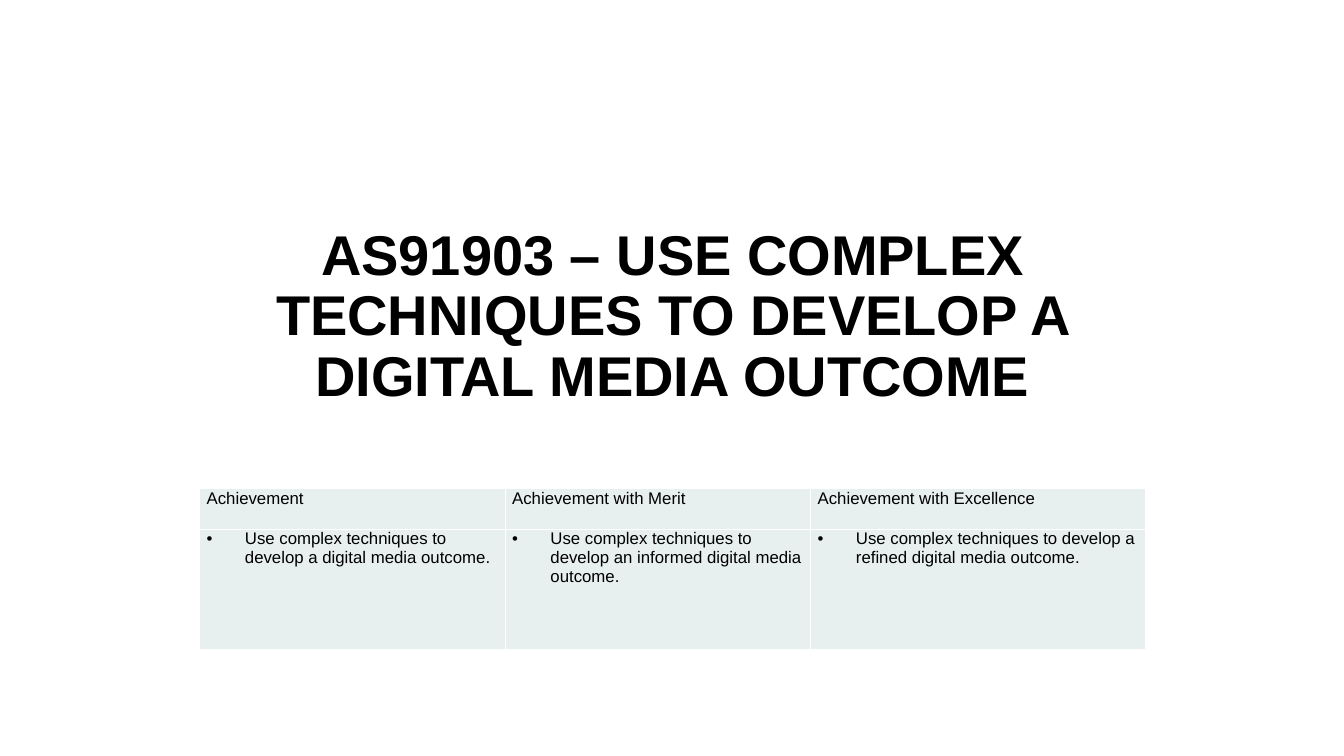
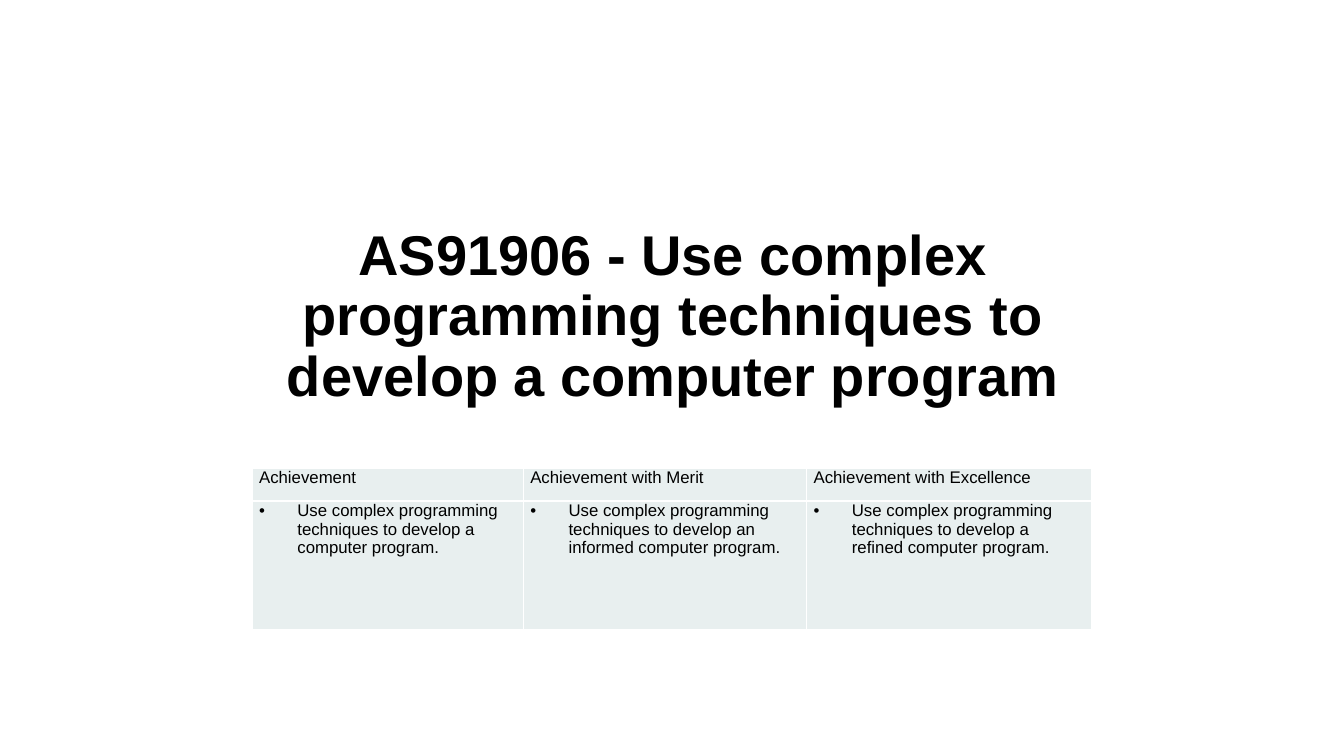
from dataclasses import dataclass

from lxml import etree
from pptx import Presentation
from pptx.dml import color
from pptx.enum import text
from pptx.oxml import ns
from pptx.util import Pt

PX = 9144


@dataclass(frozen=True)
class Theme:
    font: str = "Arial"
    ink: str = "000000"
    cell: str = "E8EFEF"
    border: str = "FFFFFF"
    title_size: int = 40
    body_size: int = 12
    border_width: int = 1


def rgb(value):
    return color.RGBColor.from_string(value)


def apply(obj, fmt):
    for name, value in fmt.items():
        setattr(obj, name, value)


def child(parent, tag, **attrs):
    return etree.SubElement(parent, ns.qn(tag), {k: str(v) for k, v in attrs.items()})


class Deck:
    def __init__(self, theme, width, height):
        self.theme = theme
        self.prs = Presentation()
        apply(self.prs, {"slide_width": width * PX, "slide_height": height * PX})
        self.s = None

    def slide(self):
        self.s = self.prs.slides.add_slide(self.prs.slide_layouts[6])

    def add_text(self, p, words, size, bold=False):
        r = p.add_run()
        r.text = words
        apply(r.font, {"name": self.theme.font, "size": Pt(size), "bold": bold})
        r.font.color.rgb = rgb(self.theme.ink)

    def title(self, words):
        sp = self.s.shapes.add_textbox(*(n * PX for n in (252, 123, 830, 287)))
        tf = sp.text_frame
        apply(tf, {"word_wrap": True, "vertical_anchor": text.MSO_ANCHOR.BOTTOM})
        p = tf.paragraphs[0]
        apply(p, {"alignment": text.PP_ALIGN.CENTER, "line_spacing": 0.9})
        self.add_text(p, words, self.theme.title_size, bold=True)

    def bullet(self, p):
        pPr = p._p.get_or_add_pPr()
        pPr.set("marL", str(38 * PX))
        pPr.set("indent", str(-38 * PX))
        child(pPr, "a:buFont", typeface=self.theme.font)
        child(pPr, "a:buChar", char="•")
        child(child(pPr, "a:tabLst"), "a:tab", pos=20 * PX, algn="l")

    def borders(self, cell):
        tcPr = cell._tc.get_or_add_tcPr()
        for side in "LRTB":
            ln = child(tcPr, f"a:ln{side}", w=int(Pt(self.theme.border_width)))
            child(child(ln, "a:solidFill"), "a:srgbClr", val=self.theme.border)

    def cell(self, cell, words, bulleted):
        apply(cell, {"margin_left": 7 * PX, "margin_right": 7 * PX,
                     "margin_top": 0, "margin_bottom": 0})
        self.borders(cell)
        cell.fill.solid()
        cell.fill.fore_color.rgb = rgb(self.theme.cell)
        p = cell.text_frame.paragraphs[0]
        if bulleted:
            self.bullet(p)
        p.space_after = Pt(6)
        self.add_text(p, words, self.theme.body_size)

    def table(self, left, top, widths, heights, rows):
        box = (left, top, sum(widths), sum(heights))
        tbl = self.s.shapes.add_table(len(rows), len(widths), *(n * PX for n in box)).table
        apply(tbl, {"first_row": False, "horz_banding": False})
        for col, width in zip(tbl.columns, widths):
            col.width = width * PX
        for i, (row, height, words) in enumerate(zip(tbl.rows, heights, rows)):
            row.height = height * PX
            for cell, entry in zip(row.cells, words):
                self.cell(cell, entry, bulleted=i > 0)


GRADES = ("Achievement", "Achievement with Merit", "Achievement with Excellence")
QUALITIES = ("a", "an informed", "a refined")

STANDARDS = (
    {
        "title": "AS91903 – USE COMPLEX TECHNIQUES TO DEVELOP A DIGITAL MEDIA OUTCOME",
        "criterion": "Use complex techniques to develop {} digital media outcome.",
        "grid": (198, 485, (303, 303, 332), (40, 119)),
    },
    {
        "title": "AS91906 - Use complex programming techniques to develop a computer program",
        "criterion": "Use complex programming techniques to develop {} computer program.",
        "grid": (250, 465, (269, 281, 283), (32, 128)),
    },
)


def main():
    deck = Deck(Theme(), 1333, 750)
    for standard in STANDARDS:
        deck.slide()
        deck.title(standard["title"])
        criteria = [standard["criterion"].format(q) for q in QUALITIES]
        deck.table(*standard["grid"], (GRADES, criteria))
    deck.prs.save("out.pptx")


if __name__ == "__main__":
    main()
